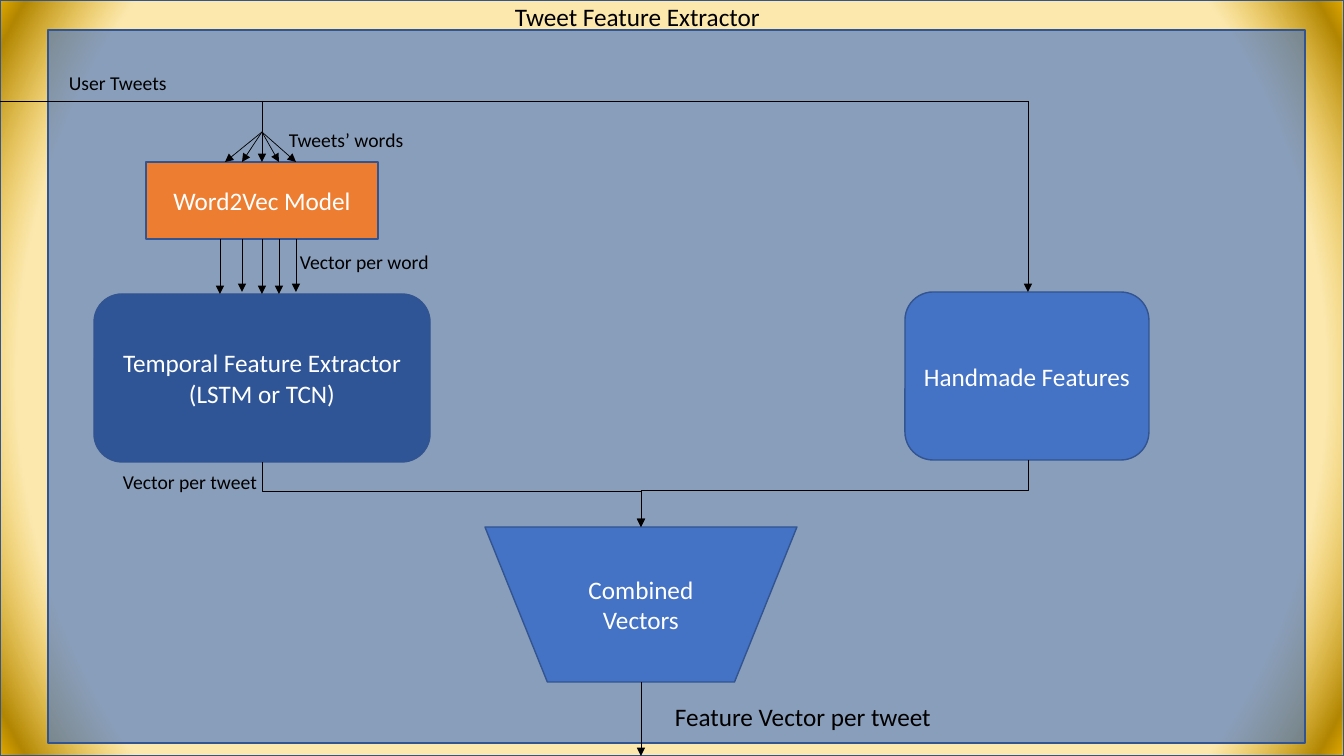
import pptx
import pptx.util
import pptx.dml.color
import pptx.enum.shapes
import pptx.enum.text
import pptx.oxml
import pptx.oxml.ns
from dataclasses import dataclass
from lxml import etree

KIND = pptx.enum.shapes.MSO_SHAPE
LINK = pptx.enum.shapes.MSO_CONNECTOR
ALIGN = pptx.enum.text.PP_ALIGN
SCALE = 914400 / 100.8


@dataclass(frozen=True)
class Theme:
    font: str = "Calibri"
    ink: str = "000000"
    light: str = "FFFFFF"
    edge: str = "325491"
    blue: str = "4472C4"
    navy: str = "2F5597"
    orange: str = "ED7D31"
    # Glow stops: position, colour and opacity in percent
    glow: tuple = ((85, "F5B800", 32), (97, "B28600", 100),
                   (100, "E3AB00", 100), (100, "BF9000", 100))
    veil: int = 62
    big: int = 18
    small: int = 14
    border: float = 1
    wire: float = 0.5


THEME = Theme()


def emu(px):
    return pptx.util.Emu(round(px * SCALE))


def rgb(code):
    return pptx.dml.color.RGBColor.from_string(code)


def sub(parent, tag, **attrs):
    node = etree.SubElement(parent, pptx.oxml.ns.qn(tag))
    for key, value in attrs.items():
        node.set(key, str(value))
    return node


def write(shape, text, size, color, align):
    frame = shape.text_frame
    frame.word_wrap = True
    para = frame.paragraphs[0]
    para.alignment = align
    for i, line in enumerate(text.split("\n")):
        if i:
            para.add_line_break()
        run = para.add_run()
        run.text = line
        run.font.name = THEME.font
        run.font.size = pptx.util.Pt(size)
        run.font.color.rgb = rgb(color)


def block(slide, kind, box, fill, text=""):
    shape = slide.shapes.add_shape(kind, *map(emu, box))
    shape.shadow.inherit = False
    shape.fill.solid()
    shape.fill.fore_color.rgb = rgb(fill)
    shape.line.color.rgb = rgb(THEME.edge)
    shape.line.width = pptx.util.Pt(THEME.border)
    if text:
        shape.text_frame.vertical_anchor = pptx.enum.text.MSO_ANCHOR.MIDDLE
        write(shape, text, THEME.big, THEME.light, ALIGN.CENTER)
    return shape


def fade(shape, percent):
    color = shape.fill._xPr.find(".//" + pptx.oxml.ns.qn("a:srgbClr"))
    sub(color, "a:alpha", val=percent * 1000)


def glow(shape):
    props = shape._element.spPr
    solid = props.find(pptx.oxml.ns.qn("a:solidFill"))
    grad = etree.Element(pptx.oxml.ns.qn("a:gradFill"), rotWithShape="1")
    stops = sub(grad, "a:gsLst")
    for place, code, alpha in THEME.glow:
        stop = sub(stops, "a:gs", pos=place * 1000)
        color = sub(stop, "a:srgbClr", val=code)
        if alpha < 100:
            sub(color, "a:alpha", val=alpha * 1000)
    ring = sub(grad, "a:path", path="circle")
    sub(ring, "a:fillToRect", l=50000, t=50000, r=50000, b=50000)
    props.replace(solid, grad)


def label(slide, box, text, size=THEME.small):
    shape = slide.shapes.add_textbox(*map(emu, box))
    write(shape, text, size, THEME.ink, ALIGN.LEFT)


def wire(slide, start, end, kind=LINK.STRAIGHT, head=True):
    link = slide.shapes.add_connector(kind, *map(emu, (*start, *end)))
    link.line.color.rgb = rgb(THEME.ink)
    link.line.width = pptx.util.Pt(THEME.wire)
    if head:
        sub(link.line._get_or_add_ln(), "a:tailEnd", type="triangle")
    sub(link._element.spPr, "a:effectLst")
    return link


def elbow(slide, start, end, bend):
    """Leave downwards, cross sideways at the bend, then go down again."""
    (x1, y1), (x2, y2) = start, end
    midx, midy = (x1 + x2) / 2, (y1 + y2) / 2
    wide, tall = y2 - y1, abs(x2 - x1)
    left, top = midx - wide / 2, midy - tall / 2
    link = wire(slide, (left, top), (left + wide, top + tall), LINK.ELBOW)
    props = link._element.spPr
    turn = props.find(pptx.oxml.ns.qn("a:xfrm"))
    turn.set("rot", str((270 if x2 > x1 else 90) * 60000))
    if x2 > x1:
        turn.set("flipH", "1")
    guide = props.find(".//" + pptx.oxml.ns.qn("a:avLst"))
    sub(guide, "a:gd", name="adj1", fmla=f"val {round(bend * 100000)}")


def main():
    deck = pptx.Presentation()
    deck.slide_width, deck.slide_height = emu(1344), emu(756)
    slide = deck.slides.add_slide(deck.slide_layouts[6])

    # Background and panel
    glow(block(slide, KIND.RECTANGLE, (0, 0, 1344, 756), THEME.blue))
    panel = block(slide, KIND.RECTANGLE, (48, 30, 1257, 713), THEME.blue)
    fade(panel, THEME.veil)
    label(slide, (505, -4, 273, 40), "Tweet Feature Extractor", THEME.big)

    # Stages
    for kind, box, fill, text in (
        (KIND.RECTANGLE, (146, 162, 232, 77), THEME.orange, "Word2Vec Model"),
        (KIND.ROUNDED_RECTANGLE, (94, 294, 336, 168), THEME.navy,
         "Temporal Feature Extractor\n(LSTM or TCN)"),
        (KIND.ROUNDED_RECTANGLE, (905, 292, 244, 168), THEME.blue,
         "Handmade Features"),
        (KIND.FLOWCHART_MANUAL_OPERATION, (485, 527, 312, 155), THEME.blue,
         "Combined Vectors"),
    ):
        block(slide, kind, box, fill, text)

    # Input line and its two branches
    words, hand, joint, feed = 262, 1028, 641, 101
    wire(slide, (0, feed), (hand, feed), head=False)
    wire(slide, (words, feed), (words, 162))
    wire(slide, (hand, feed), (hand, 292))

    # Words fan out into the model
    for x in (225, 242, 279, 296):
        wire(slide, (words, 132), (x, 162))

    # One vector per word leaves the model
    for x, end in ((220, 294), (242, 292), (words, 294), (279, 294), (296, 292)):
        wire(slide, (x, 239), (x, end))

    # Both branches join and leave the slide
    elbow(slide, (words, 462), (joint, 527), 0.46)
    elbow(slide, (hand, 460), (joint, 527), 0.46)
    wire(slide, (joint, 682), (joint, 756))

    # Labels
    label(slide, (59, 66, 131, 34), "User Tweets")
    label(slide, (279, 123, 202, 34), "Tweets’ words")
    label(slide, (290, 245, 156, 34), "Vector per word")
    label(slide, (113, 465, 156, 34), "Vector per tweet")
    label(slide, (665, 696, 279, 40), "Feature Vector per tweet", THEME.big)

    deck.save("out.pptx")


main()
